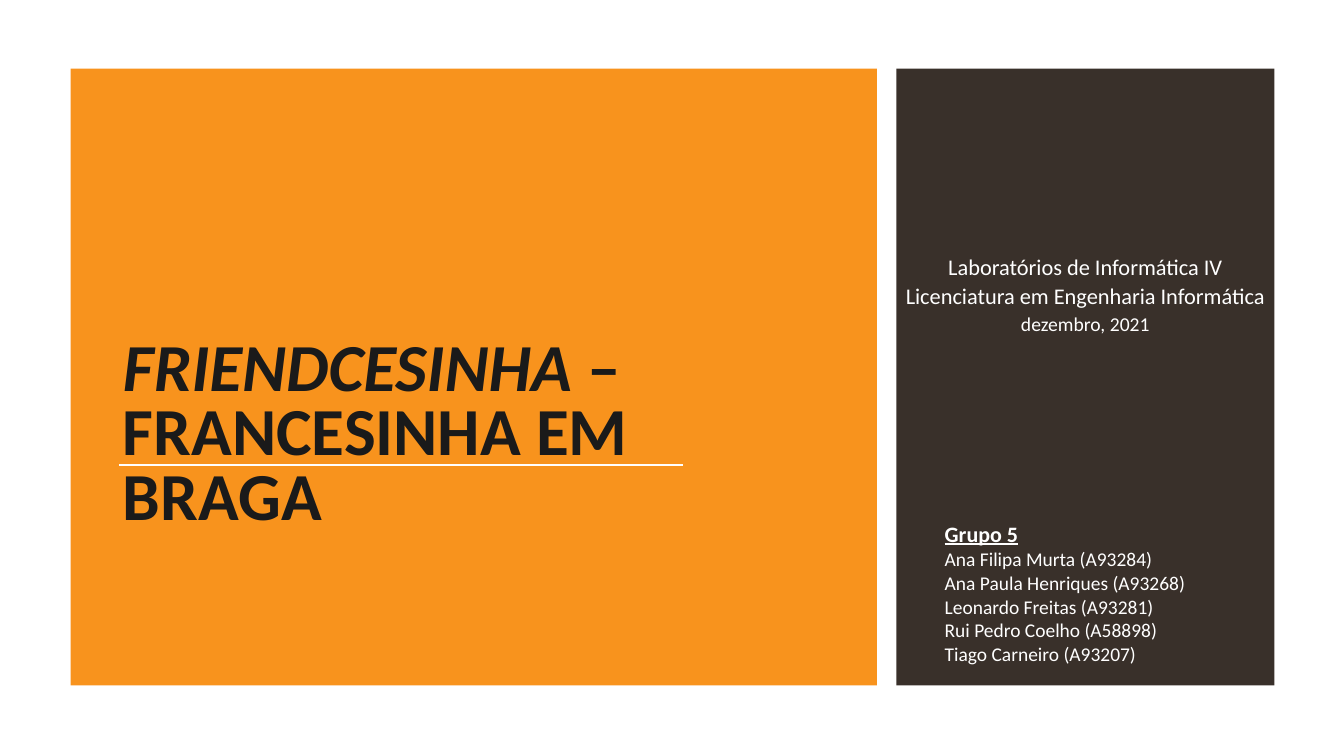
from lxml.etree import SubElement
from pptx import Presentation
from pptx.dml.color import RGBColor
from pptx.enum.shapes import MSO_CONNECTOR, MSO_SHAPE
from pptx.enum.text import MSO_ANCHOR, MSO_AUTO_SIZE, PP_ALIGN
from pptx.oxml.ns import qn
from pptx.util import Inches, Pt

WIDTH, HEIGHT = Inches(13.33), Inches(7.5)
FONT = "Calibri"
COLORS = {"orange": "F8931D", "brown": "39302A", "ink": "1A1A1A", "white": "FFFFFF"}
PANEL_TOP, PANEL_HEIGHT = 9.07, 81.6
COURSE = [
    ("Laboratórios de Informática IV", 16),
    ("Licenciatura em Engenharia Informática", 16),
    ("dezembro, 2021", 14),
]
MEMBERS = [
    "Ana Filipa Murta (A93284)",
    "Ana Paula Henriques (A93268)",
    "Leonardo Freitas (A93281)",
    "Rui Pedro Coelho (A58898)",
    "Tiago Carneiro (A93207)",
]


def color(name):
    """Return the named palette colour."""
    return RGBColor.from_string(COLORS[name])


def share(left, top, width, height):
    """Turn percentages of the slide into a box of lengths."""
    return [int(size * percent / 100) for size, percent in
            zip((WIDTH, HEIGHT, WIDTH, HEIGHT), (left, top, width, height))]


def add_panel(slide, left, width, fill):
    """Add one of the two tall colour panels."""
    panel = slide.shapes.add_shape(
        MSO_SHAPE.RECTANGLE, *share(left, PANEL_TOP, width, PANEL_HEIGHT))
    panel.shadow.inherit = False
    panel.fill.solid()
    panel.fill.fore_color.rgb = color(fill)
    panel.line.fill.background()


def add_rule(slide, left, top, width):
    """Add the thin white line across the title."""
    x, y, length, _ = share(left, top, width, 0)
    rule = slide.shapes.add_connector(MSO_CONNECTOR.STRAIGHT, x, y, x + length, y)
    rule.line.color.rgb = color("white")
    rule.line.width = Pt(1.5)
    SubElement(rule._element.spPr, qn("a:effectLst"))


def place(shape, box, anchor):
    """Bring a text shape to the front, position it and return its frame."""
    shape.left, shape.top, shape.width, shape.height = share(*box)
    tree = shape._element.getparent()
    tree.append(shape._element)
    frame = shape.text_frame
    frame.word_wrap = True
    frame.auto_size = MSO_AUTO_SIZE.NONE
    frame.vertical_anchor = anchor
    return frame


def style(paragraph, size, ink, alignment, spacing, after=0):
    """Format a whole paragraph."""
    paragraph.alignment = alignment
    paragraph.line_spacing = spacing
    paragraph.space_before = Pt(0)
    paragraph.space_after = Pt(after)
    paragraph.font.name = FONT
    paragraph.font.size = Pt(size)
    paragraph.font.color.rgb = color(ink)


def fill_lines(frame, lines, alignment, spacing):
    """Write white lines, given as pairs of text and size."""
    frame.text = "\n".join(text for text, _ in lines)
    for paragraph, (_, size) in zip(frame.paragraphs, lines):
        style(paragraph, size, "white", alignment, spacing, after=2)


def fill_title(frame):
    """Write the title with its italic project name."""
    paragraph = frame.paragraphs[0]
    for text, italic in (("FRIENDCESINHA", True), (" – FRANCESINHA EM BRAGA", False)):
        run = paragraph.add_run()
        run.text = text
        run.font.italic = italic
    style(paragraph, 48, "ink", PP_ALIGN.LEFT, 0.8)
    paragraph.font.bold = True


def main():
    """Build and save the cover slide."""
    presentation = Presentation()
    presentation.slide_width, presentation.slide_height = WIDTH, HEIGHT
    slide = presentation.slides.add_slide(presentation.slide_layouts[0])

    add_panel(slide, 5.25, 60, "orange")
    fill_title(place(slide.shapes.title, (8.4, 47.07, 52.66, 24.13), MSO_ANCHOR.BOTTOM))
    add_rule(slide, 8.85, 61.47, 42)

    add_panel(slide, 66.69, 28.13, "brown")
    group = place(slide.placeholders[1], (69.54, 68.53, 22.36, 20.8), MSO_ANCHOR.TOP)
    fill_lines(group, [("Grupo 5", 15.7)] + [(member, 13.9) for member in MEMBERS],
               PP_ALIGN.LEFT, 0.9)
    group.paragraphs[0].font.bold = True
    group.paragraphs[0].font.underline = True

    course_box = slide.shapes.add_textbox(0, 0, 0, 0)
    course = place(course_box, (63.99, 32.8, 33.53, 18.67), MSO_ANCHOR.TOP)
    fill_lines(course, COURSE, PP_ALIGN.CENTER, 1.0)
    presentation.save("out.pptx")


if __name__ == "__main__":
    main()
